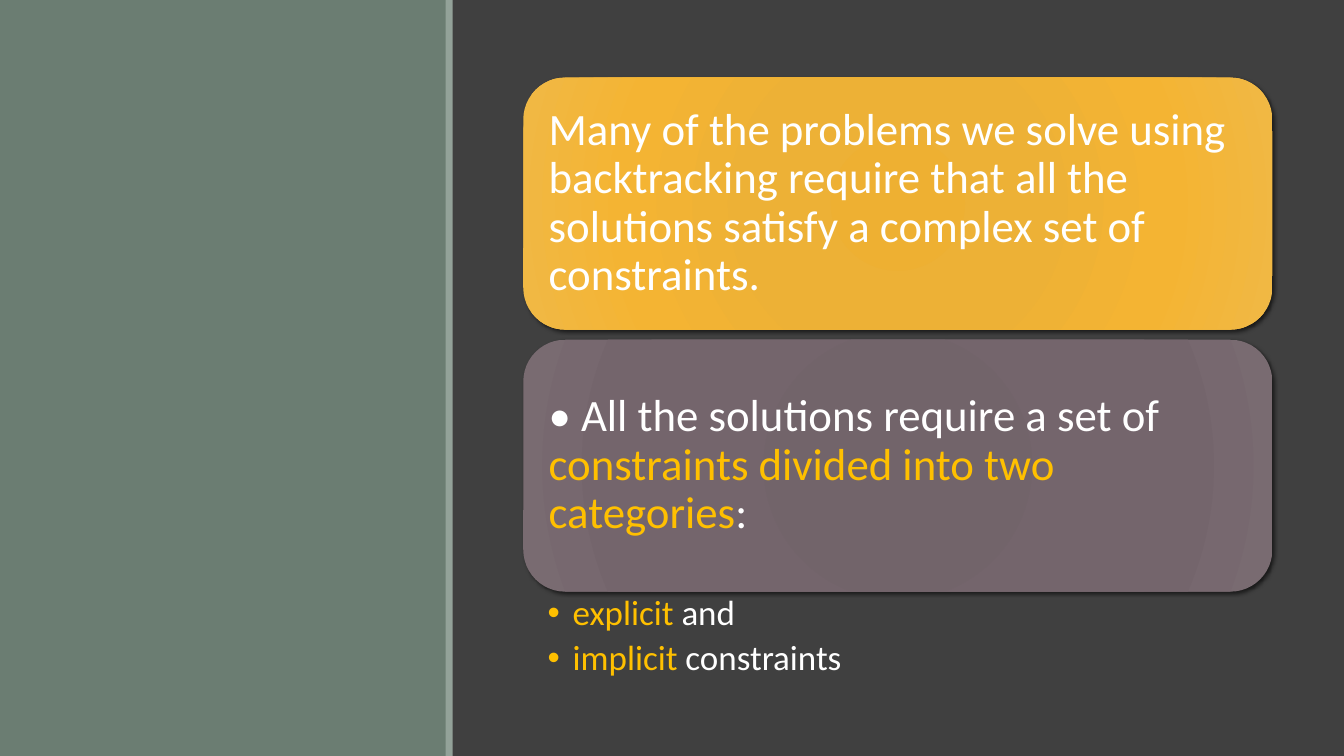
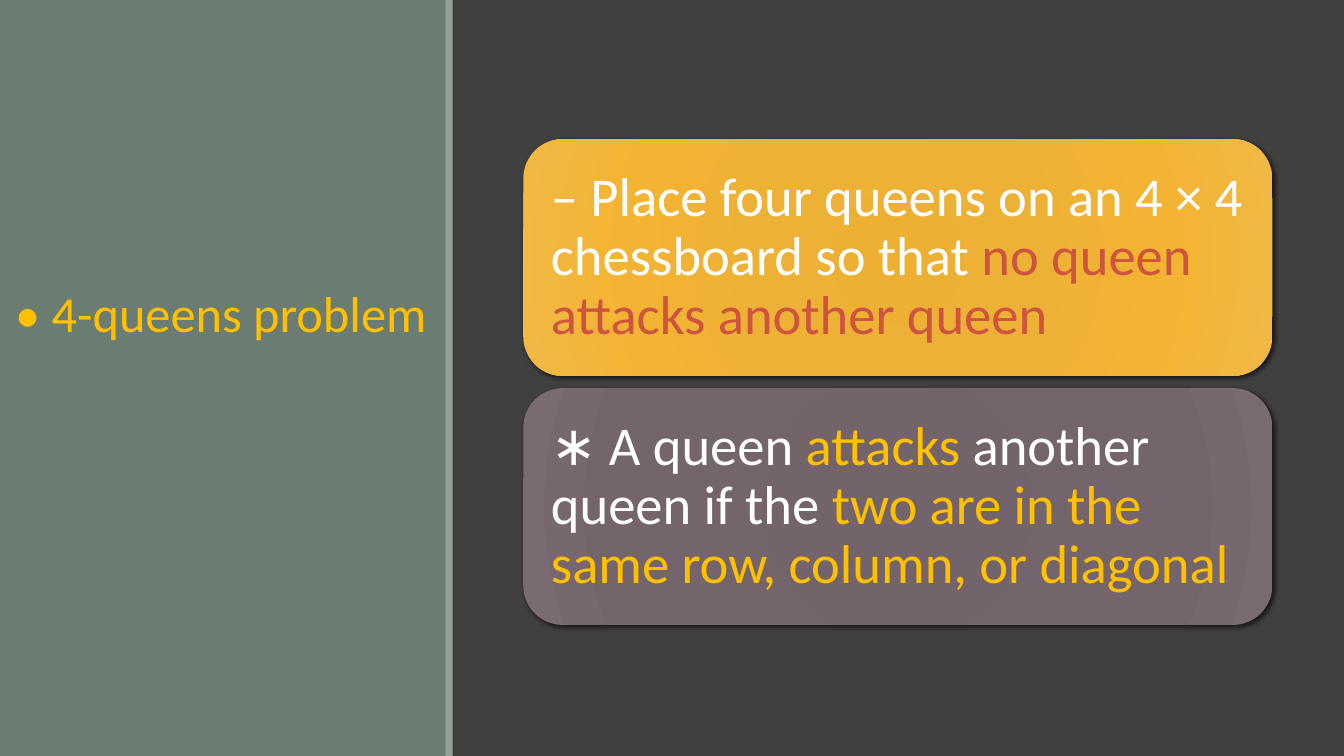
import pptx
import pptx.dml.color
import pptx.enum.shapes
import pptx.enum.text
import pptx.oxml
import pptx.oxml.ns
import pptx.util
from pptx.util import Inches

COLORS = {
    "page": "404040",
    "panel": "6B7D72",
    "edge": "93A299",
    "white": "FFFFFF",
    "gold": "FFC000",
    "red": "CF543F",
}
# Radial gradient of each card: position in percent, colour
GRADIENTS = {
    "amber": [(0, "EEB032"), (34, "EDB136"), (70, "F4B433"), (100, "F0B845")],
    "mauve": [(0, "716369"), (34, "72646A"), (70, "74656C"), (100, "796B71")],
}
FONT = "Calibri"
CARD_LEFT, CARD_WIDTH = 5.19, 7.43
TITLE_AND_CONTENT, TITLE_ONLY = 1, 5


def rgb(name):
    return pptx.dml.color.RGBColor.from_string(COLORS[name])


def make_element(tag, content):
    """Parse one drawing element; content holds its attributes and children."""
    return pptx.oxml.parse_xml(
        f"<a:{tag} {pptx.oxml.ns.nsdecls('a')} {content}</a:{tag}>"
    )


def write_runs(para, runs, size):
    """Add (text, colour) runs to a paragraph."""
    for text, color in runs:
        span = para.add_run()
        span.text = text
        span.font.name = FONT
        span.font.size = pptx.util.Pt(size)
        span.font.color.rgb = rgb(color)


def place(box, left, top, width, height):
    box.left, box.top = Inches(left), Inches(top)
    box.width, box.height = Inches(width), Inches(height)


def set_margins(frame, left, top, right, bottom):
    frame.margin_left, frame.margin_top = Inches(left), Inches(top)
    frame.margin_right, frame.margin_bottom = Inches(right), Inches(bottom)


def style_master(deck, page):
    """Give the master the dark background and the left panel with its edge."""
    master = deck.slide_master
    master.background.fill.solid()
    master.background.fill.fore_color.rgb = rgb("page")
    bands = [("panel", 0, 4.43), ("edge", 4.42, 0.07)]
    for index, (color, left, width) in enumerate(bands):
        band = page.shapes.add_shape(
            pptx.enum.shapes.MSO_SHAPE.RECTANGLE,
            Inches(left), 0, Inches(width), deck.slide_height,
        )
        band.shadow.inherit = False
        band.fill.solid()
        band.fill.fore_color.rgb = rgb(color)
        band.line.fill.background()
        # Move the band from the page to the back of the master
        band.element.nvSpPr.cNvPr.set("id", str(100 + index))
        master.shapes.element.insert(2 + index, band.element)


def add_card(page, top, height, gradient, runs, size, margin):
    card = page.shapes.add_shape(
        pptx.enum.shapes.MSO_SHAPE.ROUNDED_RECTANGLE,
        Inches(CARD_LEFT), Inches(top), Inches(CARD_WIDTH), Inches(height),
    )
    # Radial fill, no outline, soft shadow
    stops = "".join(
        f'<a:gs pos="{position * 1000}"><a:srgbClr val="{color}"/></a:gs>'
        for position, color in GRADIENTS[gradient]
    )
    properties = card.element.spPr
    properties.append(make_element(
        "gradFill",
        f'rotWithShape="1"><a:gsLst>{stops}</a:gsLst><a:path path="circle">'
        '<a:fillToRect l="100000" t="100000" r="100000" b="100000"/></a:path>',
    ))
    card.line.fill.background()
    card.shadow.inherit = False
    properties.find(pptx.oxml.ns.qn("a:effectLst")).append(make_element(
        "outerShdw",
        'blurRad="38100" dist="25400" dir="2700000" rotWithShape="0">'
        '<a:srgbClr val="000000"><a:alpha val="60000"/></a:srgbClr>',
    ))
    # Text
    frame = card.text_frame
    frame.word_wrap = True
    frame.vertical_anchor = pptx.enum.text.MSO_ANCHOR.MIDDLE
    set_margins(frame, margin, margin, margin, margin)
    para = frame.paragraphs[0]
    para.alignment = pptx.enum.text.PP_ALIGN.LEFT
    para.line_spacing = 0.9
    write_runs(para, runs, size)


def add_cards(page, top, height, gap, size, margin, texts):
    """Stack one card per text, in the order of the gradients."""
    for index, (gradient, runs) in enumerate(zip(GRADIENTS, texts)):
        card_top = top + index * (height + gap)
        add_card(page, card_top, height, gradient, runs, size, margin)


def fill_bullets(body, items, size):
    frame = body.text_frame
    frame.auto_size = pptx.enum.text.MSO_AUTO_SIZE.NONE
    frame.vertical_anchor = pptx.enum.text.MSO_ANCHOR.TOP
    set_margins(frame, 0.24, 0.04, 0.25, 0.04)
    for index, runs in enumerate(items):
        para = frame.add_paragraph() if index else frame.paragraphs[0]
        properties = para._p.get_or_add_pPr()
        properties.set("marL", str(Inches(0.25)))
        properties.set("indent", str(-Inches(0.25)))
        properties.append(make_element("buChar", 'char="•">'))
        para.line_spacing = 0.9
        para.space_before = pptx.util.Pt(0)
        para.space_after = pptx.util.Pt(5)
        write_runs(para, runs, size)


def fill_title(title, text):
    place(title, 0.05, 2.75, 4.32, 0.71)
    frame = title.text_frame
    frame.word_wrap = False
    frame.auto_size = pptx.enum.text.MSO_AUTO_SIZE.NONE
    frame.vertical_anchor = pptx.enum.text.MSO_ANCHOR.TOP
    para = frame.paragraphs[0]
    para.alignment = pptx.enum.text.PP_ALIGN.LEFT
    write_runs(para, [(text, "gold")], 36)


def build_constraints(page):
    title = page.shapes.title
    title.element.getparent().remove(title.element)
    add_cards(page, 0.77, 2.5, 0.1, 32, 0.13, [
        [("Many of the problems we solve using backtracking require that all "
          "the solutions satisfy a complex set of constraints.", "white")],
        [("• All the solutions require a set of ", "white"),
         ("constraints divided into two categories", "gold"),
         (":", "white")],
    ])
    body = page.placeholders[1]
    place(body, CARD_LEFT, 5.87, CARD_WIDTH, 0.94)
    fill_bullets(body, [
        [("explicit", "gold"), (" and", "white")],
        [("implicit ", "gold"), ("constraints", "white")],
    ], 25)


def build_queens(page):
    fill_title(page.shapes.title, "• 4-queens problem")
    add_cards(page, 1.38, 2.35, 0.12, 39, 0.16, [
        [("– Place four queens on an 4 × 4 chessboard so that ", "white"),
         ("no queen attacks another queen", "red")],
        [("∗ A queen ", "white"), ("attacks", "gold"),
         (" another queen if the ", "white"),
         ("two are in the same row, column, or diagonal", "gold")],
    ])


def main():
    deck = pptx.Presentation()
    deck.slide_width, deck.slide_height = Inches(13.33), Inches(7.5)
    layouts = deck.slide_layouts
    constraints_page = deck.slides.add_slide(layouts[TITLE_AND_CONTENT])
    queens_page = deck.slides.add_slide(layouts[TITLE_ONLY])
    style_master(deck, constraints_page)
    build_constraints(constraints_page)
    build_queens(queens_page)
    deck.save("out.pptx")


if __name__ == "__main__":
    main()
